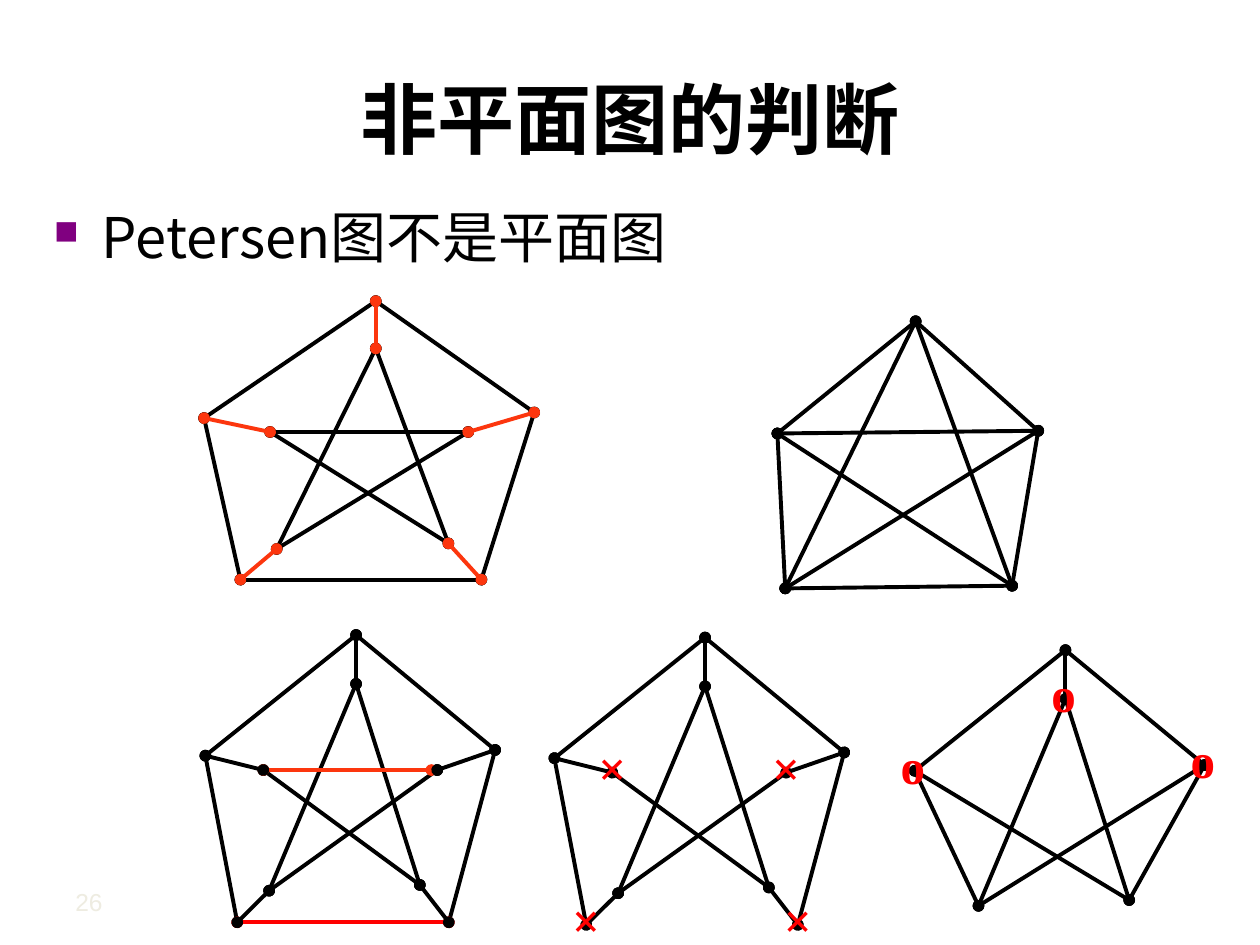
from lxml import etree
from pptx import Presentation
from pptx import util as u
from pptx.dml.color import RGBColor
from pptx.enum import shapes, text
from pptx.oxml import ns

WIDTH, HEIGHT = 10, 7.5
SANS, SERIF = "Noto Sans CJK SC", "Times New Roman"
BLACK, ORANGE, RED = "000000", "FC360E", "FF0000"

# Vertices as shares of the graph's box: capitals outside, small letters inside
PETERSEN = {
    "A": (0.52, 0), "B": (1, 0.4), "C": (0.84, 1), "D": (0.11, 1), "E": (0, 0.42),
    "a": (0.52, 0.17), "b": (0.8, 0.47), "c": (0.74, 0.87), "d": (0.22, 0.89),
    "e": (0.2, 0.47), "x": (0.78, 0.47),
}
K5 = {"A": (0.53, 0), "B": (1, 0.41), "C": (0.9, 0.99), "D": (0.03, 1), "E": (0, 0.42)}
STAR = "ac eb ad db ec"
SPOKES = "eE aA Bb Cc dD"

# Each graph: vertices, box, edges by colour in drawing order, mark and marked vertices
GRAPHS = [
    (K5, (6.17, 2.55, 2.07, 2.12),
     [("AC AB EA ED BC DC EB AD DB EC", BLACK)], "", ""),
    (PETERSEN, (1.62, 2.39, 2.62, 2.21),
     [("AB EA ED BC DC " + STAR, BLACK), (SPOKES, ORANGE)], "", ""),
    (PETERSEN, (1.63, 5.04, 2.3, 2.28),
     [("AB EA ED BC", BLACK), ("DC", RED), (STAR, BLACK), ("ex", ORANGE),
      (SPOKES, BLACK)], "", ""),
    (PETERSEN, (4.4, 5.06, 2.3, 2.28),
     [("AB EA ED BC ac ad db ec " + SPOKES, BLACK)], "×", "DCeb"),
    (PETERSEN, (7.26, 5.16, 2.3, 2.28),
     [("AB EA Ed Bc ac ad dB Ec aA", BLACK)], "o", "aEB"),
]


def color(value):
    return RGBColor.from_string(value)


def add_text(page, box, words, size, ink, face, bold=False,
             align=text.PP_ALIGN.LEFT, anchor=text.MSO_ANCHOR.TOP):
    shape = page.shapes.add_textbox(*(u.Inches(length) for length in box))
    frame = shape.text_frame
    frame.word_wrap = True
    frame.vertical_anchor = anchor
    frame.text = words
    para = frame.paragraphs[0]
    para.alignment = align
    span = para.runs[0]
    span.font.name, span.font.size, span.font.bold = face, u.Pt(size), bold
    span.font.color.rgb = color(ink)
    east_asian = etree.SubElement(span.font._element, ns.qn("a:ea"))
    east_asian.set("typeface", face)
    return para


def add_bullet(para):
    props = para._p.get_or_add_pPr()
    props.set("marL", str(u.Inches(0.38)))
    props.set("indent", str(-u.Inches(0.38)))
    shade = etree.SubElement(props, ns.qn("a:buClr"))
    etree.SubElement(shade, ns.qn("a:srgbClr")).set("val", "800080")
    etree.SubElement(props, ns.qn("a:buSzPct")).set("val", "60000")
    etree.SubElement(props, ns.qn("a:buChar")).set("char", "■")


def add_edge(page, start, end, ink):
    edge = page.shapes.add_connector(
        shapes.MSO_CONNECTOR.STRAIGHT, *(u.Inches(n) for n in (*start, *end)))
    edge.line.color.rgb = color(ink)
    edge.line.width = u.Pt(2.25)
    outline = edge.line._get_or_add_ln()
    for tag in ("a:headEnd", "a:tailEnd"):  # the oval ends are the vertices
        etree.SubElement(outline, ns.qn(tag)).set("type", "oval")
    etree.SubElement(edge._element.spPr, ns.qn("a:effectLst"))


def add_graph(page, vertices, box, layers, mark, marked):
    left, top, width, height = box
    points = {name: (left + x * width, top + y * height)
              for name, (x, y) in vertices.items()}
    for edges, ink in layers:
        for start, end in edges.split():
            add_edge(page, points[start], points[end], ink)
    for name in marked:
        x, y = points[name]
        add_text(page, (x - 0.21, y - 0.33, 0.55, 0.57), mark, 28, RED, SERIF, bold=True)


def add_heading(page, box):
    left, top, width, height = box
    add_text(page, (left + 0.05 * width, top + 0.16 * height, 0.9 * width, 0.66 * height),
             "非平面图的判断", 44, BLACK, SANS, True,
             text.PP_ALIGN.CENTER, text.MSO_ANCHOR.MIDDLE)
    para = add_text(page, (left + 0.33, top + 0.82 * height, 0.93 * width, 0.63),
                    "Petersen图不是平面图", 32, BLACK, SANS)
    add_bullet(para)


def main():
    deck = Presentation()
    deck.slide_width, deck.slide_height = u.Inches(WIDTH), u.Inches(HEIGHT)
    page = deck.slides.add_slide(deck.slide_layouts[6])

    # Title and statement
    add_heading(page, (0, 0, WIDTH, 0.25 * HEIGHT + 0.03))

    # Graphs
    for graph in GRAPHS:
        add_graph(page, *graph)

    # Page number
    add_text(page, (0.5, 0.93 * HEIGHT, 0.2 * WIDTH, 0.37), "26", 14, "EEECE1", "Arial",
             anchor=text.MSO_ANCHOR.MIDDLE)

    deck.save("out.pptx")


if __name__ == "__main__":
    main()
